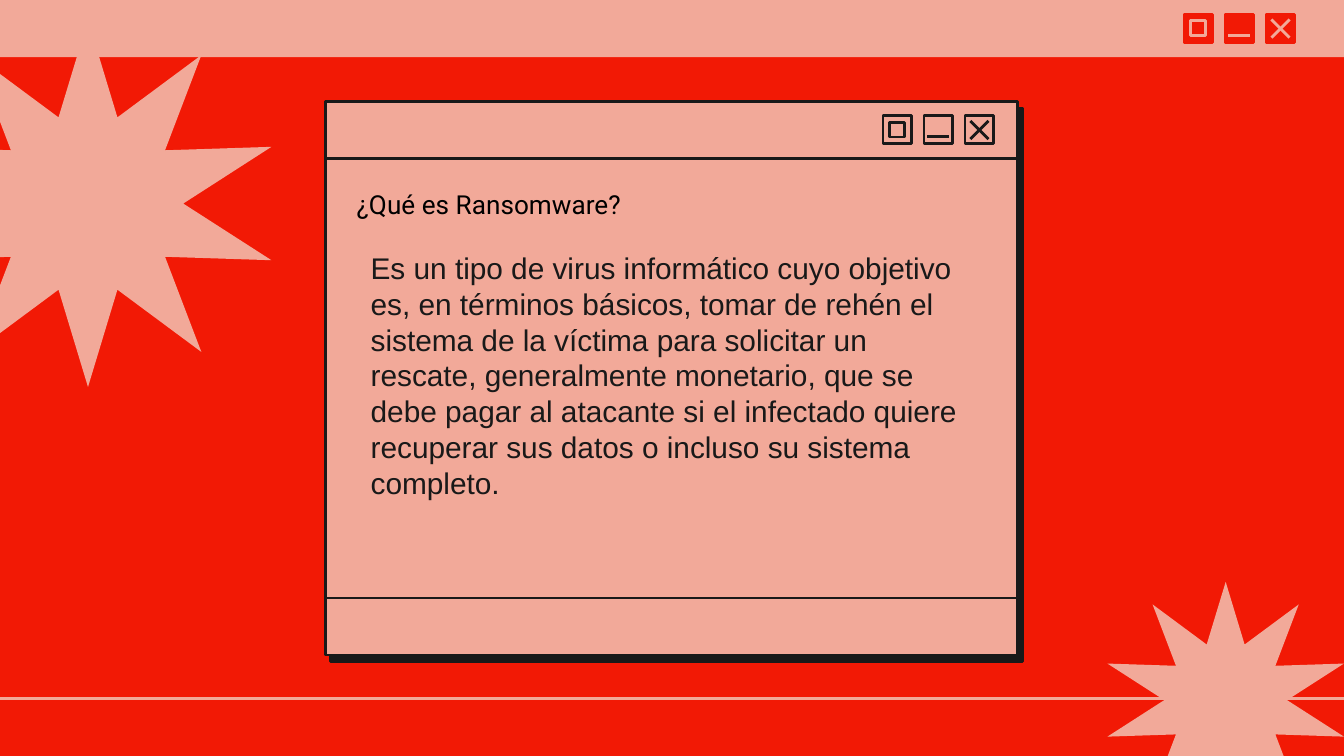
"""Builds a retro-window slide that explains what ransomware is."""
from lxml.etree import SubElement
from pptx import Presentation
from pptx.dml.color import RGBColor
from pptx.enum.shapes import MSO_CONNECTOR as CONN, MSO_SHAPE as SHAPE
from pptx.enum.text import MSO_ANCHOR as ANCHOR
from pptx.oxml.ns import qn
from pptx.util import Inches, Pt

RED, PINK, INK, BLACK = "F21905", "F2A999", "191919", "000000"
rgb = RGBColor.from_string

prs = Presentation()
prs.slide_width = Inches(10)
prs.slide_height = prs.slide_width * 9 // 16
CELL = prs.slide_width / 100
s = prs.slides.add_slide(prs.slide_layouts[6])
s.background.fill.solid()
s.background.fill.fore_color.rgb = rgb(RED)


def box(kind, x, y, w, h, fill=None, line=None):
    """Adds a preset shape placed in grid cells."""
    sp = s.shapes.add_shape(kind, *(round(v * CELL) for v in (x, y, w, h)))
    sp.shadow.inherit = False
    if fill:
        sp.fill.solid()
        sp.fill.fore_color.rgb = rgb(fill)
    else:
        sp.fill.background()
    if line:
        sp.line.color.rgb = rgb(line)
        sp.line.width = Pt(1.5)
    else:
        sp.line.fill.background()
    return sp


def rule(x1, y1, x2, y2, color):
    """Adds a straight line between two grid points."""
    cx = s.shapes.add_connector(CONN.STRAIGHT, *(round(v * CELL) for v in (x1, y1, x2, y2)))
    cx.line.color.rgb = rgb(color)
    cx.line.width = Pt(1.5)
    SubElement(cx._element.spPr, qn("a:effectLst"))


for x, y, size in ((82.4, 43.3, 17.6), (-7.1, 1.5, 27.3)):
    star = box(SHAPE.STAR_10_POINT, x, y, size, size, PINK)
    star.adjustments[0] = 0.247

box(SHAPE.RECTANGLE, -0.2, 0, 100.4, 4.25, PINK)
rule(-0.3, 52, 100.3, 52, PINK)

for y, h in ((7.53, 4.27), (11.8, 32.7), (44.5, 4.25)):
    sp = box(SHAPE.RECTANGLE, 24.2, y, 51.54, h, PINK, INK)
    shadow = SubElement(sp._element.spPr.find(qn("a:effectLst")), qn("a:outerShdw"),
                        dist=str(Pt(4.5)), dir=str(54 * 60000), algn="bl", rotWithShape="0")
    SubElement(shadow, qn("a:srgbClr"), val=INK)

for x, y, fill, edge, mark in ((88.1, 1.05, RED, RED, PINK), (65.7, 8.6, None, INK, INK)):
    maximize, minimize, close = (x + 3.05 * i for i in range(3))
    for left in (maximize, minimize, close):
        box(SHAPE.RECTANGLE, left, y, 2.1, 2.1, fill, edge)
    box(SHAPE.RECTANGLE, maximize + 0.5, y + 0.5, 1.1, 1.1, None, mark)
    rule(minimize + 0.25, y + 1.58, minimize + 1.85, y + 1.58, mark)
    rule(close + 0.4, y + 0.4, close + 1.75, y + 1.75, mark)
    rule(close + 1.75, y + 0.4, close + 0.4, y + 1.75, mark)

definition = (
    "Es un tipo de virus informático cuyo objetivo es, en términos básicos, "
    "tomar de rehén el sistema de la víctima para solicitar un rescate, "
    "generalmente monetario, que se debe pagar al atacante si el infectado "
    "quiere recuperar sus datos o incluso su sistema completo."
)
texts = (
    (26.6, 12.9, 47.3, 30, definition, "Arial", 16, INK, ANCHOR.MIDDLE, 0.1),
    (25.55, 13.55, 53.8, 3.4, "¿Qué es Ransomware?", "Roboto", 14, BLACK, ANCHOR.TOP, 0.05),
)
for x, y, w, h, text, font, size, color, anchor, inset in texts:
    tf = s.shapes.add_textbox(*(round(v * CELL) for v in (x, y, w, h))).text_frame
    tf.word_wrap = True
    tf.vertical_anchor = anchor
    tf.margin_left = tf.margin_right = Inches(0.1)
    tf.margin_top = tf.margin_bottom = Inches(inset)
    p = tf.paragraphs[0]
    p.text = text
    p.font.name, p.font.size = font, Pt(size)
    p.font.color.rgb = rgb(color)

prs.save("out.pptx")
